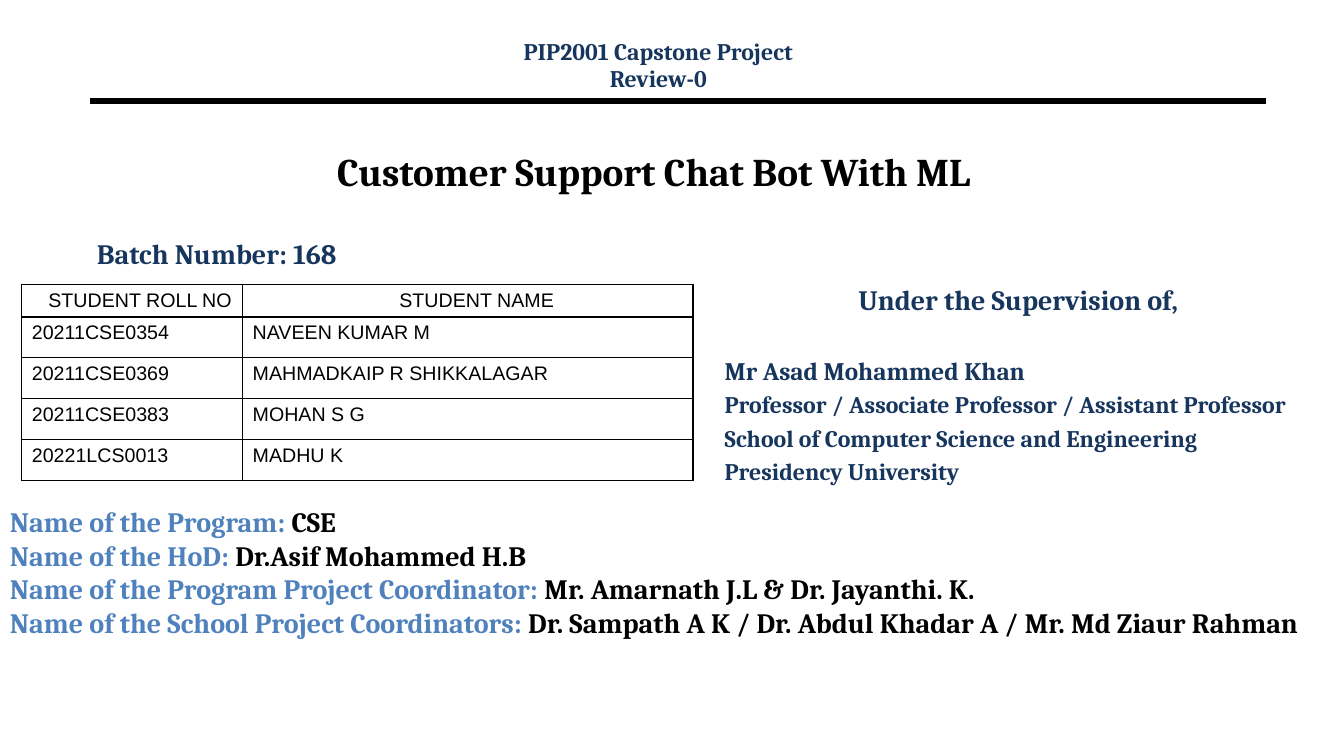
from lxml.etree import SubElement as Sub
from pptx import Presentation
from pptx.dml.color import RGBColor as Color
from pptx.enum.shapes import MSO_CONNECTOR as Link
from pptx.enum.text import MSO_ANCHOR as Anchor, MSO_AUTO_SIZE as Auto, PP_ALIGN as Align
from pptx.oxml.ns import qn
from pptx.util import Pt

NAVY, BLUE, BLACK = "17365D", "4F81BD", "000000"


def tint(target, code):
    target.rgb = Color.from_string(code)


class Deck:
    """Holds the style and the current slide, and adds each kind of element."""

    font = "Cambria"

    def __init__(self, wide, high):
        self.prs = Presentation()
        self.prs.slide_width, self.prs.slide_height = Pt(wide), Pt(high)
        self.slide = self.prs.slides.add_slide(self.prs.slide_layouts[0])

    def put(self, para, text, size, code, bold=True, font=None):
        run = para.add_run()
        run.text = text
        run.font.name, run.font.size, run.font.bold = font or self.font, Pt(size), bold
        tint(run.font.color, code)

    def fill(self, shape, box, lines, align, anchor=Anchor.TOP):
        shape.left, shape.top, shape.width, shape.height = map(Pt, box)
        frame = shape.text_frame
        frame.word_wrap, frame.auto_size = True, Auto.NONE
        frame.vertical_anchor = anchor
        for i, runs in enumerate(lines):
            para = frame.add_paragraph() if i else frame.paragraphs[0]
            para.alignment, para.space_before = align, Pt(0)
            for run in runs:
                self.put(para, *run)
        return frame.paragraphs

    def holder(self, index, box, run, align, anchor=Anchor.TOP):
        self.fill(self.slide.placeholders[index], box, [[run]], align, anchor)

    def text(self, box, lines, align=Align.LEFT):
        shape = self.slide.shapes.add_textbox(*map(Pt, box))
        return self.fill(shape, box, lines, align)

    def rule(self, left, right, y, width):
        line = self.slide.shapes.add_connector(Link.STRAIGHT, *map(Pt, (left, y, right, y)))
        line.line.width = Pt(width)
        tint(line.line.color, BLACK)
        Sub(line._element.spPr, qn("a:effectLst"))

    def edge(self, cell):
        props = cell._tc.get_or_add_tcPr()
        for side in "LRTB":
            line = Sub(props, qn(f"a:ln{side}"), w=str(Pt(1)))
            Sub(Sub(line, qn("a:solidFill")), qn("a:srgbClr"), val=BLACK)

    def table(self, left, top, cols, highs, rows, heads):
        box = map(Pt, (left, top, sum(cols), sum(highs)))
        grid = self.slide.shapes.add_table(len(rows), len(cols), *box).table
        grid.first_row = grid.horz_banding = False
        for col, width in zip(grid.columns, cols):
            col.width = Pt(width)
        for r, (row, high) in enumerate(zip(rows, highs)):
            grid.rows[r].height = Pt(high)
            for c, text in enumerate(row):
                cell = grid.cell(r, c)
                self.edge(cell)
                cell.fill.background()
                if r == 0:
                    cell.margin_left = Pt(heads[c])
                    cell.margin_right = Pt(0)
                self.put(cell.text_frame.paragraphs[0], text, 14, BLACK, False, "Arial")


def main():
    deck = Deck(960, 540)
    deck.rule(64.2, 904.2, 72, 4.5)
    deck.holder(0, (62, 84.2, 816, 75.6),
                ("Customer Support Chat Bot With ML ", 28, BLACK), Align.CENTER, Anchor.MIDDLE)
    deck.holder(1, (62, 165.6, 312.5, 43.2), ("Batch Number: 168", 20, NAVY), Align.LEFT)

    guide = [("Under the Supervision of,", 20), ("Mr Asad Mohammed Khan", 18),
             ("Professor / Associate Professor / Assistant Professor", 17),
             ("School of Computer Science and Engineering", 17), ("Presidency University", 17)]
    paras = deck.text((510.5, 198, 434, 159), [[(*part, NAVY)] for part in guide])
    paras[0].alignment = Align.CENTER
    for para, gap in zip(paras[1:], (28, 3.4, 3.4, 3.4)):
        para.space_before = Pt(gap)

    head = deck.text((314, 26.6, 312.5, 43.2),
                     [[(part, 17, NAVY)] for part in ("PIP2001 Capstone Project", "Review-0")],
                     Align.CENTER)
    for para, gap in zip(head, (0, 3.1)):
        para.line_spacing, para.space_before = 0.8, Pt(gap)

    staff = [("Program", "CSE"), ("HoD", "Dr.Asif Mohammed H.B"),
             ("Program Project Coordinator", "Mr. Amarnath J.L & Dr. Jayanthi. K."),
             ("School Project Coordinators",
              "Dr. Sampath A K / Dr. Abdul Khadar A / Mr. Md Ziaur Rahman")]
    deck.text((0, 357, 965, 123),
              [[(f"Name of the {role}: ", 20, BLUE), (name, 20, BLACK)] for role, name in staff])

    rows = [("STUDENT ROLL NO", "STUDENT NAME"), ("20211CSE0354", "NAVEEN KUMAR M"),
            ("20211CSE0369", "MAHMADKAIP R SHIKKALAGAR"), ("20211CSE0383", "MOHAN S G"),
            ("20221LCS0013", "MADHU K")]
    deck.table(15.6, 203, (157.7, 321.8), [23.4] + [29.2] * 4, rows, (19, 112))
    deck.prs.save("out.pptx")


if __name__ == "__main__":
    main()
